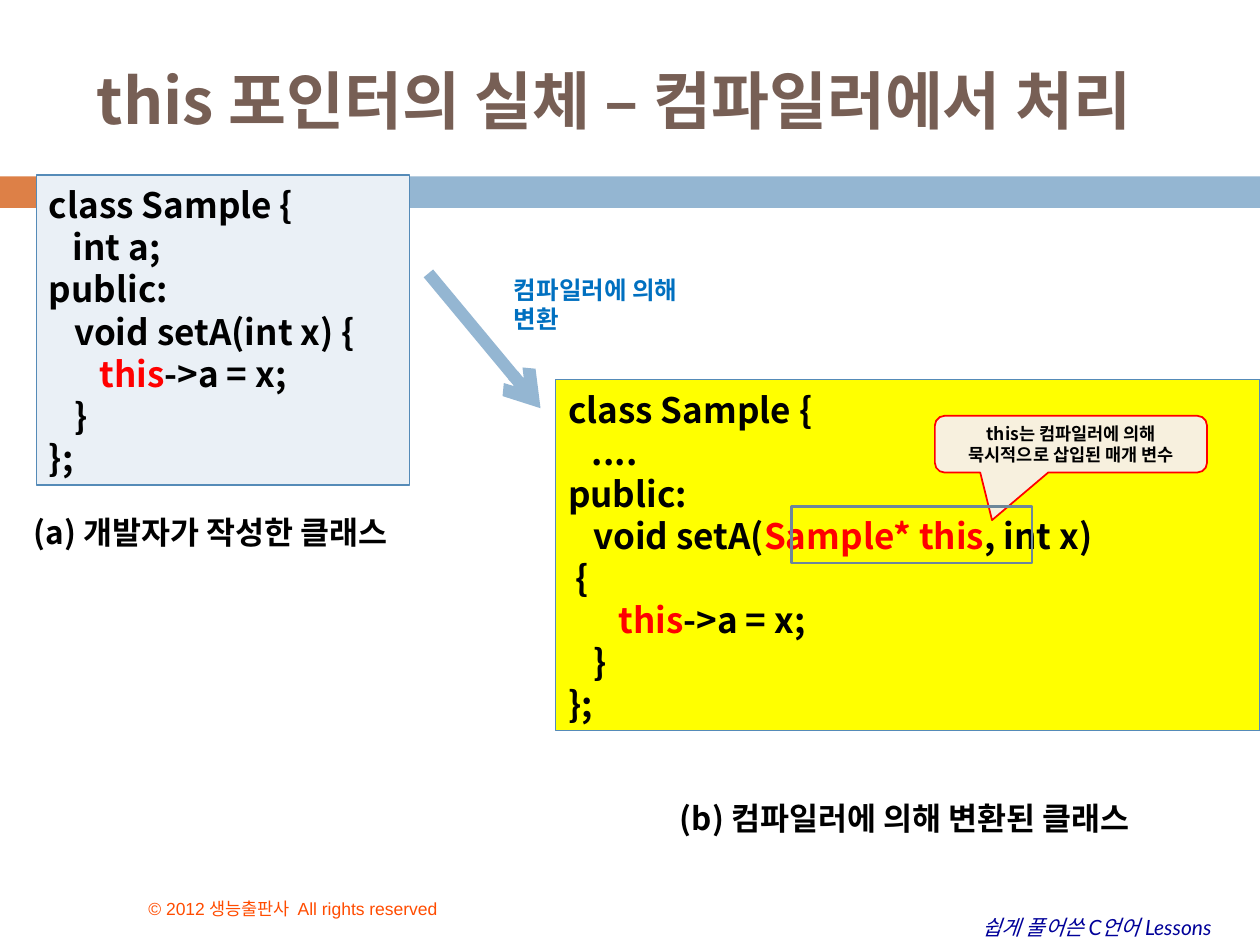
from lxml import etree
from pptx import Presentation, util as u
from pptx.dml.color import RGBColor
from pptx.enum import shapes, text
from pptx.oxml.ns import qn

WIDE, HIGH = 10, 7.5
SANS = "Noto Sans CJK KR"
TAB = 0.2
HUE = dict(orange="DD8047", bar="94B6D2", brown="775F55", navy="000099",
           rust="FF4C00", pale="EAF0F6", edge="558BB8", yellow="FFFF00",
           cream="F7F0DE", red="FF0000", slate="6D879B", blue="0070C0",
           black="000000")

BARS = [((0, 1.4, 0.58, 0.25), "orange"), ((0.65, 1.4, 9.35, 0.25), "bar")]
TITLE = ["this 포인터의 실체 – 컴파일러에서 처리"]
BOOK = ["쉽게 풀어쓴 C언어 Lessons"]
RIGHTS = ["© 2012 생능출판사  All rights reserved"]
CODES = [
    ((0.29, 1.39, 2.96, 2.46), "pale",
     ["class Sample {", "   int a;", "public:", "\tvoid setA(int x) {",
      "\t\t|this|->a = x;", "\t}", "};"]),
    ((4.41, 3.01, 5.59, 2.79), "yellow",
     ["class Sample {", "   ....", "public:",
      "\tvoid setA(|Sample* this|, int x)", " {",
      "\t\t|this|->a = x;", "\t}", "};"]),
]
NAMES = [
    ((0.17, 4, 3.3, 0.4), ["(a) 개발자가 작성한 클래스"], "left"),
    ((5.11, 6.27, 4.14, 0.4), ["(b) 컴파일러에 의해 변환된 클래스"], "center"),
]
NOTE = ["this는 컴파일러에 의해", "묵시적으로 삽입된 매개 변수"]
STEP = ["컴파일러에 의해", "변환"]

deck = Presentation()
deck.slide_width, deck.slide_height = u.Inches(WIDE), u.Inches(HIGH)
page = deck.slides.add_slide(deck.slide_layouts[6])


def tint(name):
    return RGBColor.from_string(HUE[name])


def block(at, fill=None, edge=None, width=0.75, kind="RECTANGLE"):
    form = page.shapes.add_shape(getattr(shapes.MSO_SHAPE, kind),
                                 *map(u.Inches, at))
    form.shadow.inherit = False
    if fill:
        form.fill.solid()
        form.fill.fore_color.rgb = tint(fill)
    else:
        form.fill.background()
    if edge:
        form.line.color.rgb = tint(edge)
        form.line.width = u.Pt(width)
    else:
        form.line.fill.background()
    return form


def write(lines, at=None, form=None, size=10, face=SANS, hue="black",
          bold=True, slant=False, align="left", anchor="top", lead=1.2,
          wrap=True, tabs=0, top=0.05):
    form = form or page.shapes.add_textbox(*map(u.Inches, at))
    frame = form.text_frame
    frame.word_wrap = wrap
    frame.vertical_anchor = getattr(text.MSO_ANCHOR, anchor.upper())
    frame.margin_top = u.Inches(top)
    for i, line in enumerate(lines):
        para = frame.add_paragraph() if i else frame.paragraphs[0]
        para.alignment = getattr(text.PP_ALIGN, align.upper())
        if lead:
            para.line_spacing = u.Pt(size * lead)
        if tabs:
            stops = etree.SubElement(para._p.get_or_add_pPr(), qn("a:tabLst"))
            for n in range(1, tabs + 1):
                etree.SubElement(stops, qn("a:tab"), algn="l",
                                 pos=str(u.Inches(n * TAB)))
        for k, part in enumerate(line.split("|")):
            if not part:
                continue
            run = para.add_run()
            run.text = part
            font = run.font
            font.size, font.name = u.Pt(size), face
            font.bold, font.italic = bold, slant
            font.color.rgb = tint("red" if k % 2 else hue)
            asia = etree.SubElement(run._r.get_or_add_rPr(), qn("a:ea"))
            asia.set("typeface", SANS)
    return form


def arrow(start, end, hue, width):
    line = page.shapes.add_connector(shapes.MSO_CONNECTOR.STRAIGHT,
                                     *map(u.Inches, start + end))
    line.line.color.rgb = tint(hue)
    line.line.width = u.Pt(width)
    etree.SubElement(line.line._get_or_add_ln(), qn("a:tailEnd"), type="arrow")
    etree.SubElement(line._element.spPr, qn("a:effectLst"))


for at, hue in BARS:
    block(at, hue)
write(BOOK, (7.7, 7.21, 2.18, 0.3), size=12, face="Lato", hue="navy",
      bold=False, slant=True, wrap=False)
write(RIGHTS, (1.08, 6.92, 3.83, 0.42), face="Arial", hue="rust",
      bold=False, anchor="bottom", lead=None)
write(TITLE, (0.67, 0.25, 9.33, 1.08), size=36, hue="brown",
      anchor="middle", lead=None)

for at, fill, lines in CODES:
    write(lines, form=block(at, fill, "edge"), size=20, tabs=2, top=0.07)

arrow((3.4, 2.17), (4.29, 3.24), "bar", 7)

call = block((7.42, 3.3, 2.16, 0.45), "cream", "red", 1,
             "ROUNDED_RECTANGULAR_CALLOUT")
for i, value in enumerate((-0.29, 1.34, 0.17)):
    call.adjustments[i] = value
write(NOTE, form=call, align="center", anchor="middle")

for at, lines, align in NAMES:
    write(lines, at, size=18, align=align, top=0.07)
block((6.28, 4.02, 1.91, 0.45), edge="slate", width=1.5)
write(STEP, (3.98, 2.11, 1.68, 0.57), size=14, hue="blue", top=0.07)

deck.save("out.pptx")
